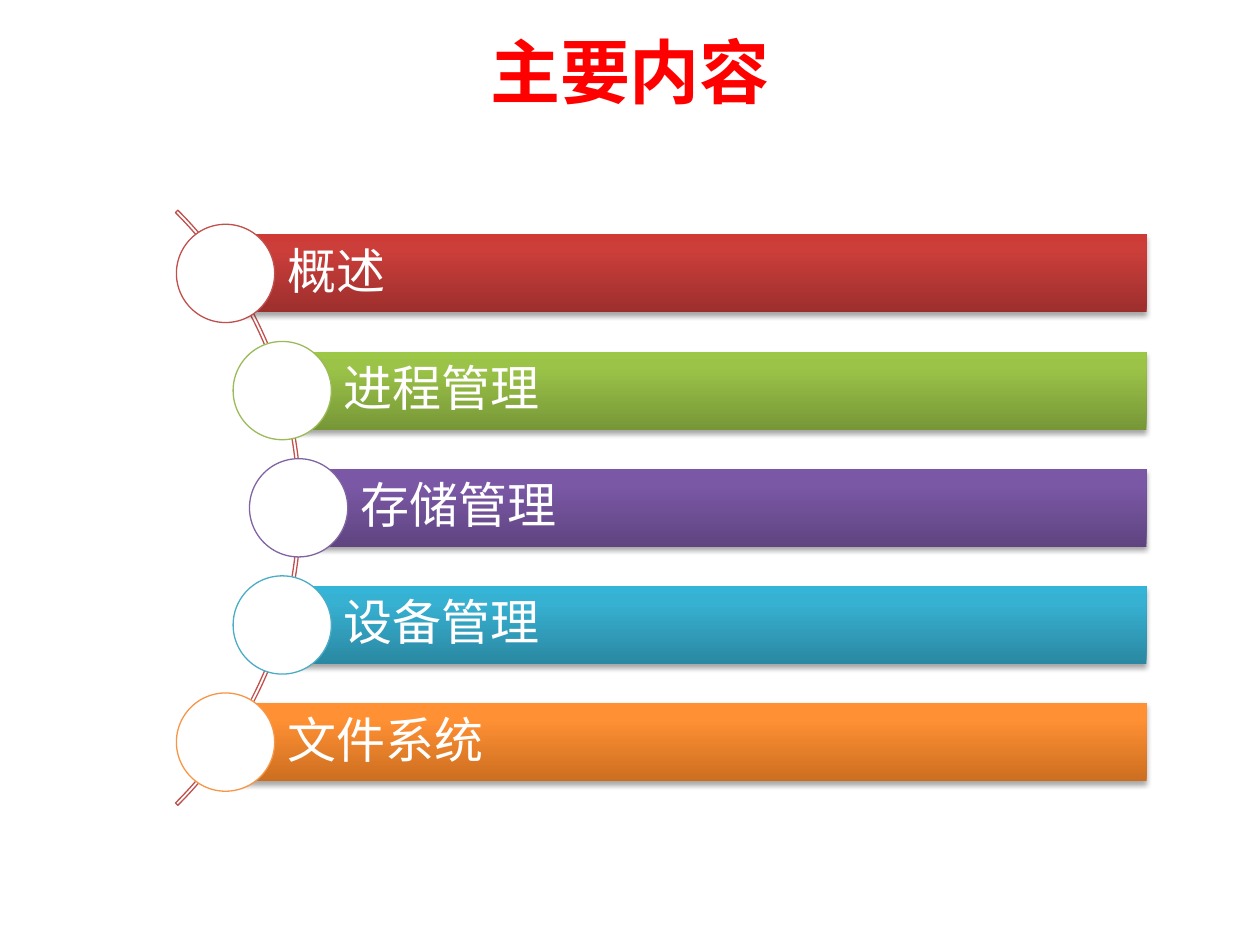
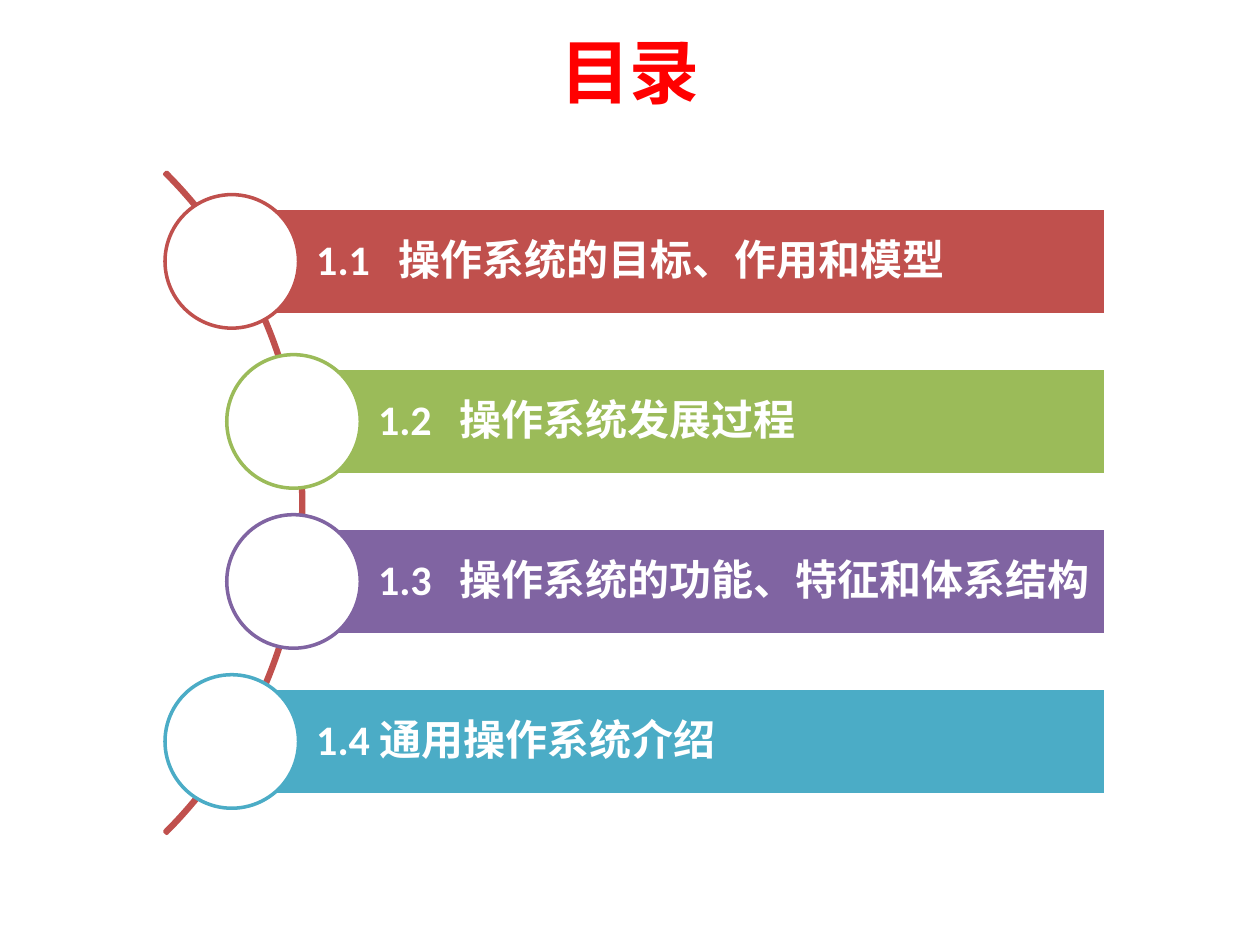
from copy import deepcopy
from dataclasses import dataclass

from lxml import etree
from pptx import Presentation
from pptx.dml.color import RGBColor
from pptx.enum.shapes import MSO_SHAPE
from pptx.enum.text import MSO_ANCHOR, PP_ALIGN
from pptx.oxml.ns import qn
from pptx.util import Inches, Pt

RECTANGLE = MSO_SHAPE.RECTANGLE
OVAL = MSO_SHAPE.OVAL
BLOCK_ARC = MSO_SHAPE.BLOCK_ARC
MIDDLE = MSO_ANCHOR.MIDDLE
LEFT = PP_ALIGN.LEFT
CENTER = PP_ALIGN.CENTER


@dataclass(frozen=True)
class Theme:
    title_color: str = "FF0000"
    white: str = "FFFFFF"
    shadow: str = "000000"
    accents: tuple = ("C0504D", "9BBB59", "8064A2", "4BACC6", "F79646")
    gradients: tuple = (
        ("9C2F2D", "CB3E3A", "CE3B37"),
        ("779737", "9BC348", "9DC746"),
        ("5F4480", "7B58A6", "7C57A8"),
        ("2A88A2", "37B1D2", "34B4D6"),
        ("CC6E20", "FF9034", "FF9136"),
    )
    gradient_positions: tuple = (0, 0.8, 1)
    title_font: str = "Times New Roman"
    body_font: str = "Calibri"
    title_size: int = 40
    chapter_size: int = 28
    section_size: int = 24


@dataclass(frozen=True)
class ListLayout:
    lefts: tuple
    right: float
    top: float
    pitch: float
    bar_height: float
    circle: float
    text_inset: float
    margin: float
    text_size: int
    line_width: float
    arc_left: float
    arc_top: float
    arc_size: float
    arc_percent: float
    bold: bool = False
    glossy: bool = False
    tab: float = 0


def write_text(shape, text, *, font, size, color, bold=False, align=LEFT,
               line_spacing=1.0, insets=(0.1, 0.05, 0.1, 0.05), tab=0):
    frame = shape.text_frame
    frame.word_wrap = True
    frame.vertical_anchor = MIDDLE
    (frame.margin_left, frame.margin_top,
     frame.margin_right, frame.margin_bottom) = map(Inches, insets)
    para = frame.paragraphs[0]
    para.alignment = align
    para.line_spacing = line_spacing
    if tab:
        tabs = etree.SubElement(para._p.get_or_add_pPr(), qn("a:tabLst"))
        etree.SubElement(tabs, qn("a:tab"), pos=str(Inches(tab)), algn="l")
    span = para.add_run()
    span.text = text
    span.font.name = font
    span.font.size = Pt(size)
    span.font.bold = bold
    span.font.color.rgb = RGBColor.from_string(color)


class SlideBuilder:
    def __init__(self, deck, theme):
        self.deck = deck
        self.theme = theme
        self.page = None

    def start(self, title):
        self.page = self.deck.slides.add_slide(self.deck.slide_layouts[6])
        box = self.page.shapes.add_textbox(
            Inches(0.5), Inches(0.05), Inches(9), Inches(1.02))
        write_text(box, title, font=self.theme.title_font,
                   size=self.theme.title_size, color=self.theme.title_color,
                   bold=True, align=CENTER)

    def shape(self, kind, left, top, width, height, fill=None, line=None, line_width=1):
        shape = self.page.shapes.add_shape(
            kind, Inches(left), Inches(top), Inches(width), Inches(height))
        shape.shadow.inherit = False
        if fill:
            shape.fill.solid()
            shape.fill.fore_color.rgb = RGBColor.from_string(fill)
        else:
            shape.fill.background()
        if line:
            shape.line.color.rgb = RGBColor.from_string(line)
            shape.line.width = Pt(line_width)
        else:
            shape.line.fill.background()
        return shape

    def gloss(self, shape, colors):
        shape.fill.gradient()
        shape.fill.gradient_angle = 90
        properties = shape._element.spPr
        stop_list = properties.find(".//" + qn("a:gsLst"))
        stop_list.append(deepcopy(stop_list[-1]))
        for stop, position, color in zip(
                shape.fill.gradient_stops, self.theme.gradient_positions, colors):
            stop.position = position
            stop.color.rgb = RGBColor.from_string(color)
        shadow = etree.SubElement(
            properties.find(qn("a:effectLst")), qn("a:outerShdw"),
            blurRad=str(Pt(3.1)), dist=str(Pt(1.8)), dir="5400000", rotWithShape="0")
        color = etree.SubElement(shadow, qn("a:srgbClr"), val=self.theme.shadow)
        etree.SubElement(color, qn("a:alpha"), val="35000")

    def arc(self, layout):
        arc = self.shape(BLOCK_ARC, layout.arc_left, layout.arc_top,
                         layout.arc_size, layout.arc_size,
                         line=self.theme.accents[0], line_width=layout.line_width)
        arc.adjustments[0] = 189
        arc.adjustments[1] = 27
        arc.adjustments[2] = layout.arc_percent / 100

    def bar(self, layout, index, text):
        left = layout.lefts[index]
        top = layout.top + index * layout.pitch
        accent = self.theme.accents[index]
        bar = self.shape(RECTANGLE, left, top, layout.right - left, layout.bar_height,
                         fill=accent, line=None if layout.glossy else self.theme.white,
                         line_width=layout.line_width)
        if layout.glossy:
            self.gloss(bar, self.theme.gradients[index])
        margin = layout.margin
        write_text(bar, text, font=self.theme.body_font, size=layout.text_size,
                   color=self.theme.white, bold=layout.bold, line_spacing=0.9,
                   insets=(layout.text_inset, margin, margin, margin),
                   tab=layout.tab if "\t" in text else 0)
        self.shape(OVAL, left - layout.circle / 2,
                   top + (layout.bar_height - layout.circle) / 2,
                   layout.circle, layout.circle, fill=self.theme.white,
                   line=accent, line_width=layout.line_width)

    def curved_list(self, title, entries, layout):
        self.start(title)
        self.arc(layout)
        for index, text in enumerate(entries):
            self.bar(layout, index, text)


def main():
    deck = Presentation()
    deck.slide_width = Inches(10)
    deck.slide_height = Inches(7.5)
    theme = Theme()
    builder = SlideBuilder(deck, theme)

    chapters = ListLayout(
        lefts=(1.79, 2.24, 2.37, 2.24, 1.79), right=9.1, top=1.86, pitch=0.93,
        bar_height=0.62, circle=0.78, text_inset=0.49, margin=0.08,
        text_size=theme.chapter_size, line_width=0.75,
        arc_left=-4.29, arc_top=0.69, arc_size=6.68, arc_percent=0.4, glossy=True)
    builder.curved_list(
        "主要内容", ("概述", "进程管理", "存储管理", "设备管理", "文件系统"), chapters)

    sections = ListLayout(
        lefts=(1.84, 2.33, 2.33, 1.84), right=8.78, top=1.65, pitch=1.27,
        bar_height=0.85, circle=1.06, text_inset=0.67, margin=0.07,
        text_size=theme.section_size, line_width=2,
        arc_left=-5.01, arc_top=0.28, arc_size=7.42, arc_percent=0.3,
        bold=True, tab=0.65)
    builder.curved_list(
        "目录",
        ("1.1\t操作系统的目标、作用和模型", "1.2\t操作系统发展过程",
         "1.3\t操作系统的功能、特征和体系结构", "1.4 通用操作系统介绍"),
        sections)

    deck.save("out.pptx")


if __name__ == "__main__":
    main()
